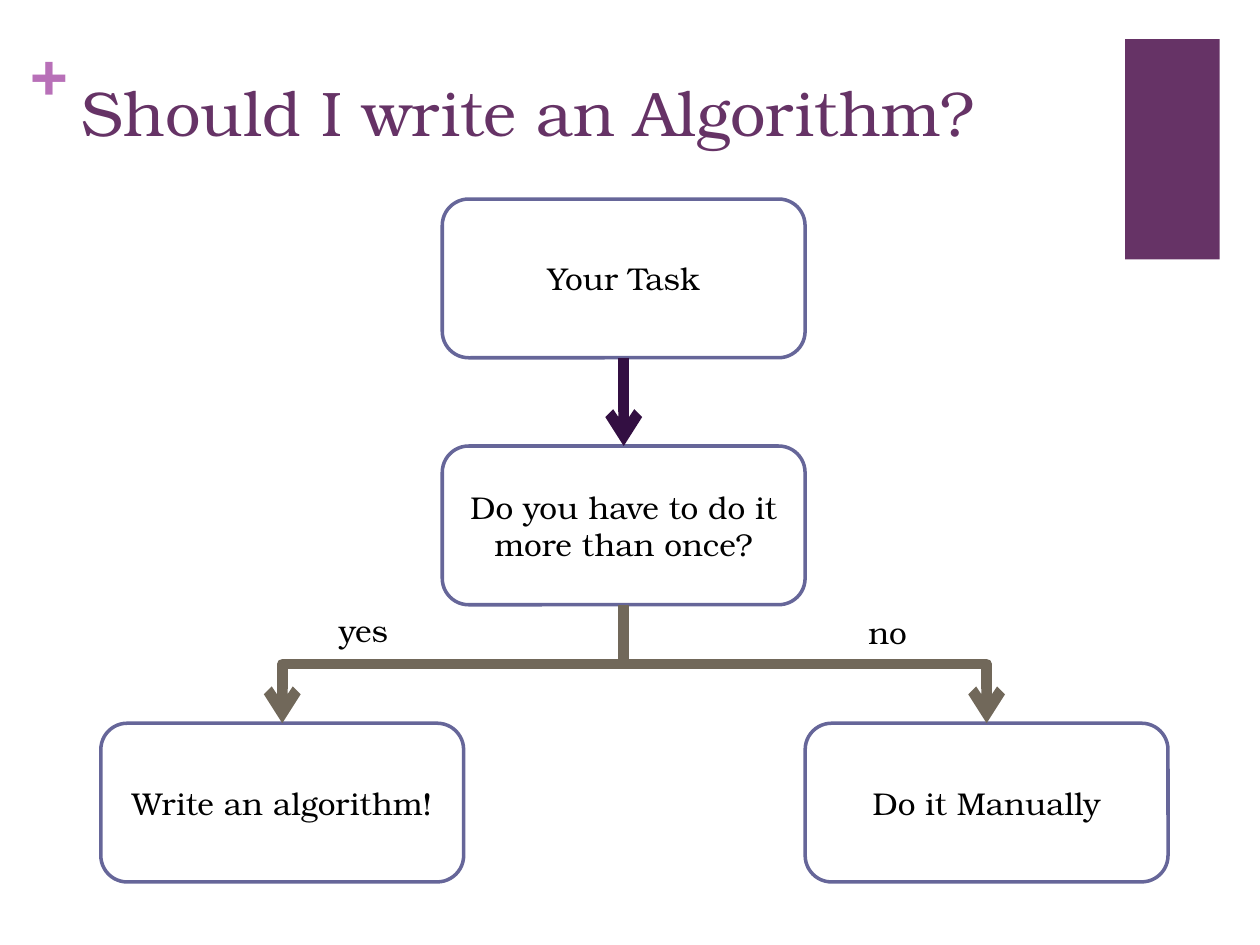
"""Build a decision flowchart slide about writing an algorithm."""
from lxml.etree import SubElement
from pptx import Presentation
from pptx.dml.color import RGBColor
from pptx.enum.shapes import MSO_CONNECTOR, MSO_SHAPE
from pptx.enum.text import MSO_ANCHOR, PP_ALIGN
from pptx.oxml.ns import qn
from pptx.util import Inches, Pt

FONT = "TeX Gyre Bonum"
COLORS = {"plum": "663366", "orchid": "B870B8", "border": "666699", "white": "FFFFFF",
          "black": "000000", "dark": "330F42", "taupe": "71685A"}
TITLE = "Should I write an Algorithm?"
BOX_WIDTH, BOX_HEIGHT = 2.88, 1.26
BOXES = {
    "question": ("Do you have to do it more than once?", 3.51, 3.54),
    "task": ("Your Task", 3.51, 1.58),
    "write": ("Write an algorithm!", 0.8, 5.74),
    "manual": ("Do it Manually", 6.39, 5.74),
}
ARROWS = [("task", "question", "dark"), ("question", "write", "taupe"),
          ("question", "manual", "taupe")]
LABELS = [("yes", 2.44, 4.8), ("no", 6.6, 4.82)]


def color(name):
    return RGBColor.from_string(COLORS[name])


def write_text(shape, text, size=18, ink="black", align=PP_ALIGN.CENTER, bold=False, **frame_format):
    frame = shape.text_frame
    for name, value in {"word_wrap": True, **frame_format}.items():
        setattr(frame, name, value)
    paragraph = frame.paragraphs[0]
    paragraph.alignment = align
    run = paragraph.add_run()
    run.text = text
    for name, value in {"name": FONT, "size": Pt(size), "bold": bold}.items():
        setattr(run.font, name, value)
    run.font.color.rgb = color(ink)


def add_box(slide, kind, area, fill, border=None):
    shape = slide.shapes.add_shape(kind, *map(Inches, area))
    shape.shadow.inherit = False
    shape.fill.solid()
    shape.fill.fore_color.rgb = color(fill)
    if border:
        shape.line.color.rgb = color(border)
        shape.line.width = Pt(2)
    else:
        shape.line.fill.background()
    return shape


def add_arrow(slide, start, end, ink):
    start_x, end_x = (shape.left + shape.width // 2 for shape in (start, end))
    start_y, end_y = start.top + start.height, end.top
    straight = start_x == end_x
    kind = MSO_CONNECTOR.STRAIGHT if straight else MSO_CONNECTOR.ELBOW
    arrow = slide.shapes.add_connector(kind, start_x, start_y, end_x, end_y)
    arrow.begin_connect(start, 2)
    arrow.end_connect(end, 0)
    properties = arrow._element.spPr
    if not straight:
        across, down = abs(end_x - start_x), end_y - start_y
        transform = properties.find(qn("a:xfrm"))
        transform.attrib.clear()
        if end_x < start_x:
            transform.set("rot", "5400000")
        else:
            transform.set("rot", "16200000")
            transform.set("flipH", "1")
        arrow.left = (start_x + end_x - down) // 2
        arrow.top = (start_y + end_y - across) // 2
        arrow.width, arrow.height = down, across
    arrow.line.color.rgb = color(ink)
    arrow.line.width = Pt(6)
    SubElement(properties.find(qn("a:ln")), qn("a:tailEnd"), type="arrow")
    SubElement(properties, qn("a:effectLst"))


presentation = Presentation()
presentation.slide_width, presentation.slide_height = Inches(10), Inches(7.5)
slide = presentation.slides.add_slide(presentation.slide_layouts[5])

add_box(slide, MSO_SHAPE.RECTANGLE, (8.93, 0.31, 0.75, 1.75), "plum")
plus = slide.shapes.add_textbox(*map(Inches, (0.24, 0.25, 0.29, 0.61)))
margins = dict.fromkeys(("margin_left", "margin_top", "margin_right", "margin_bottom"), 0)
write_text(plus, "+", 36, "orchid", PP_ALIGN.LEFT, True, **margins)

title = slide.shapes.title
title.left, title.top, title.width, title.height = map(Inches, (0.55, 0.53, 8.26, 1.22))
write_text(title, TITLE, 36, "plum", PP_ALIGN.LEFT, vertical_anchor=MSO_ANCHOR.TOP)

boxes = {}
for name, (text, left, top) in BOXES.items():
    area = (left, top, BOX_WIDTH, BOX_HEIGHT)
    boxes[name] = add_box(slide, MSO_SHAPE.ROUNDED_RECTANGLE, area, "white", "border")
    write_text(boxes[name], text, vertical_anchor=MSO_ANCHOR.MIDDLE)

for start, end, ink in ARROWS:
    add_arrow(slide, boxes[start], boxes[end], ink)

for text, left, top in LABELS:
    label = slide.shapes.add_textbox(*map(Inches, (left, top, 0.89, 0.4)))
    write_text(label, text)

presentation.save("out.pptx")
